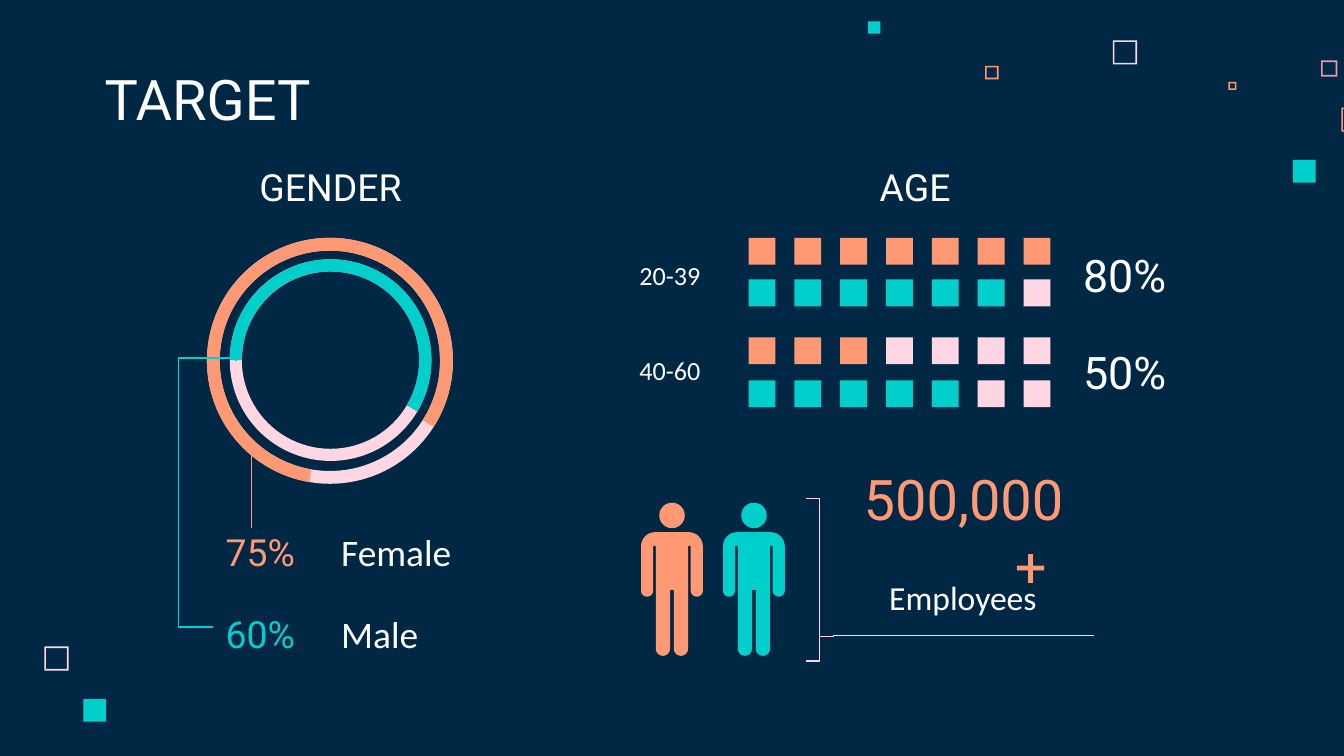
from math import cos, radians, sin

from lxml import etree
from pptx import Presentation
from pptx.dml.color import RGBColor
from pptx.enum.shapes import MSO_CONNECTOR, MSO_SHAPE
from pptx.enum.text import MSO_ANCHOR, PP_ALIGN
from pptx.oxml.ns import qn
from pptx.util import Inches, Pt

TOP, MIDDLE, BOTTOM = MSO_ANCHOR.TOP, MSO_ANCHOR.MIDDLE, MSO_ANCHOR.BOTTOM
LEFT, CENTER, RIGHT = PP_ALIGN.LEFT, PP_ALIGN.CENTER, PP_ALIGN.RIGHT
RECT, FRAME, OVAL = MSO_SHAPE.RECTANGLE, MSO_SHAPE.FRAME, MSO_SHAPE.OVAL
DONUT, ARC, BRACE = MSO_SHAPE.DONUT, MSO_SHAPE.BLOCK_ARC, MSO_SHAPE.RIGHT_BRACE
STRAIGHT, ELBOW = MSO_CONNECTOR.STRAIGHT, MSO_CONNECTOR.ELBOW

NAVY, WHITE = "002845", "FFFFFF"
ORANGE, TEAL, PINK, ROSE = "FF9973", "00CFCC", "FFD6E1", "E898AC"

FRAMES = [
    (8.28, 0.3, 0.18, PINK), (9.83, 0.45, 0.12, ROSE), (9.14, 0.61, 0.06, ORANGE),
    (9.98, 0.8, 0.18, ORANGE), (7.33, 0.49, 0.1, ORANGE), (0.33, 4.81, 0.18, PINK),
]
DOTS = [(9.62, 1.19, 0.17), (6.46, 0.16, 0.09), (0.62, 5.2, 0.17)]

RINGS = [
    (1.54, 1.77, 1.83, ORANGE, (59.81, 19.57, 0.052)),
    (1.71, 1.93, 1.5, TEAL, (108, 18.4, 0.06)),
]

AGE_ROWS = [(1.77, ORANGE, 7), (2.08, TEAL, 6), (2.51, ORANGE, 3), (2.83, TEAL, 5)]
AGE_COLUMNS, AGE_LEFT, AGE_STEP, AGE_SIZE = 7, 5.57, 0.341, 0.2

PEOPLE = [(5.38, TEAL), (4.77, ORANGE)]
PERSON_TOP, BODY_TOP, BODY_WIDTH, HEAD_SIZE = 3.74, 3.96, 0.46, 0.19
BODY_ARCS = [
    (0.355, 0.105, 0.105, -90, 0),
    (0.415, 0.435, 0.045, 0, 180),
    (0.36, 0.11, 0.01, 0, -180),
    (0.297, 0.867, 0.053, 0, 180),
]
CROTCH = (0.244, 0.43)

TEXTS = [
    ("TARGET", 0.68, 0.45, 5.17, 0.63, 30, "Roboto", WHITE, LEFT, BOTTOM),
    ("GENDER", 1.43, 1.12, 2.06, 0.43, 20, "Roboto", WHITE, CENTER, TOP),
    ("AGE", 5.78, 1.12, 2.06, 0.43, 20, "Roboto", WHITE, CENTER, TOP),
    ("75%", 1.58, 3.84, 0.92, 0.43, 20, "Roboto", ORANGE, LEFT, TOP),
    ("60%", 1.58, 4.45, 0.92, 0.43, 20, "Roboto", TEAL, LEFT, TOP),
    ("Female", 2.44, 3.84, 1.32, 0.43, 20, "Calibri", WHITE, LEFT, TOP),
    ("Male", 2.44, 4.45, 0.92, 0.43, 20, "Calibri", WHITE, LEFT, TOP),
    ("20-39", 3.99, 1.83, 1.32, 0.43, 14, "Calibri", WHITE, RIGHT, MIDDLE),
    ("40-60", 4.39, 2.54, 0.92, 0.43, 14, "Calibri", WHITE, RIGHT, MIDDLE),
    ("80%", 7.96, 1.83, 1.32, 0.43, 24, "Roboto", WHITE, LEFT, MIDDLE),
    ("50%", 7.96, 2.55, 0.92, 0.43, 24, "Roboto", WHITE, LEFT, MIDDLE),
    ("500,000+", 6.3, 3.74, 1.74, 0.43, 30, "Roboto", ORANGE, CENTER, MIDDLE),
    ("Employees", 6.21, 4.19, 1.91, 0.43, 18, "Calibri", WHITE, CENTER, TOP),
]
HANGING = {"500,000+": 1}

prs = Presentation()
prs.slide_width = Inches(10)
prs.slide_height = prs.slide_width * 9 // 16
slide = prs.slides.add_slide(prs.slide_layouts[6])


def rgb(color):
    return RGBColor.from_string(color)


def paint(shape, color):
    shape.shadow.inherit = False
    shape.fill.solid()
    shape.fill.fore_color.rgb = rgb(color)
    shape.line.fill.background()


def add_shape(parent, kind, x, y, w, h, color, adjustments=()):
    shape = parent.shapes.add_shape(kind, Inches(x), Inches(y), Inches(w), Inches(h))
    paint(shape, color)
    for i, value in enumerate(adjustments):
        shape.adjustments[i] = value
    return shape


def add_line(kind, x1, y1, x2, y2, color):
    line = slide.shapes.add_connector(kind, Inches(x1), Inches(y1), Inches(x2), Inches(y2))
    line.line.color.rgb = rgb(color)
    line.line.width = Pt(0.75)
    etree.SubElement(line._element.spPr, qn("a:effectLst"))
    return line


def add_text(text, x, y, w, h, size, font, color, align, anchor):
    frame = slide.shapes.add_textbox(Inches(x), Inches(y), Inches(w), Inches(h)).text_frame
    layout = {"word_wrap": True, "vertical_anchor": anchor}
    layout.update({f"margin_{side}": Inches(0.1) for side in ("left", "right", "top", "bottom")})
    for key, value in layout.items():
        setattr(frame, key, value)
    paragraph = frame.paragraphs[0]
    paragraph.alignment = align
    if text in HANGING:
        properties = paragraph._p.get_or_add_pPr()
        properties.set("marL", str(Inches(HANGING[text])))
        properties.set("indent", str(-Inches(HANGING[text])))
    run = paragraph.add_run()
    run.text = text
    for key, value in {"size": Pt(size), "name": font}.items():
        setattr(run.font, key, value)
    run.font.color.rgb = rgb(color)


def body_outline(left):
    half = []
    for cx, cy, r, start, end in BODY_ARCS:
        for step in range(13):
            angle = radians(start + (end - start) * step / 12)
            half.append((cx + r * cos(angle), cy + r * sin(angle)))
    half.append(CROTCH)
    outline = half + [(BODY_WIDTH - x, y) for x, y in reversed(half)]
    return [(Inches(left + x), Inches(BODY_TOP + y)) for x, y in outline]


def add_person(left, color):
    person = slide.shapes.add_group_shape()
    points = body_outline(left)
    builder = person.shapes.build_freeform(*points[0])
    builder.add_line_segments(points[1:], close=True)
    paint(builder.convert_to_shape(), color)
    head_left = left + (BODY_WIDTH - HEAD_SIZE) / 2
    add_shape(person, OVAL, head_left, PERSON_TOP, HEAD_SIZE, HEAD_SIZE, color)


slide.background.fill.solid()
slide.background.fill.fore_color.rgb = rgb(NAVY)

for x, y, size, color in FRAMES:
    add_shape(slide, FRAME, x, y, size, size, color, [0.012 / size])
for x, y, size in DOTS:
    add_shape(slide, RECT, x, y, size, size, TEAL)

for x, y, size, color, arc in RINGS:
    add_shape(slide, DONUT, x, y, size, size, PINK, arc[2:])
    add_shape(slide, ARC, x, y, size, size, color, arc)

male_link = add_line(ELBOW, 0.68, 3.59, 2.66, 3.76, TEAL)
male_link._element.spPr.find(qn("a:xfrm")).set("rot", "5400000")
geometry = male_link._element.spPr.find(qn("a:prstGeom"))
geometry.set("prst", "bentConnector4")
guides = geometry.find(qn("a:avLst"))
for name, value in (("adj1", -1100), ("adj2", 250500)):
    etree.SubElement(guides, qn("a:gd"), name=name, fmla=f"val {value}")
add_line(STRAIGHT, 1.87, 3.93, 1.87, 3.36, ORANGE)

for y, color, filled in AGE_ROWS:
    for column in range(AGE_COLUMNS):
        x = AGE_LEFT + column * AGE_STEP
        add_shape(slide, RECT, x, y, AGE_SIZE, AGE_SIZE, color if column < filled else PINK)

for left, color in PEOPLE:
    add_person(left, color)

brace = add_shape(slide, BRACE, 6, 3.71, 0.2, 1.21, PINK, (0, 0.849))
brace.fill.background()
brace.line.color.rgb = rgb(PINK)
brace.line.width = Pt(0.75)
add_line(STRAIGHT, 6.2, 4.73, 8.14, 4.73, PINK)

for text in TEXTS:
    add_text(*text)

prs.save("out.pptx")
